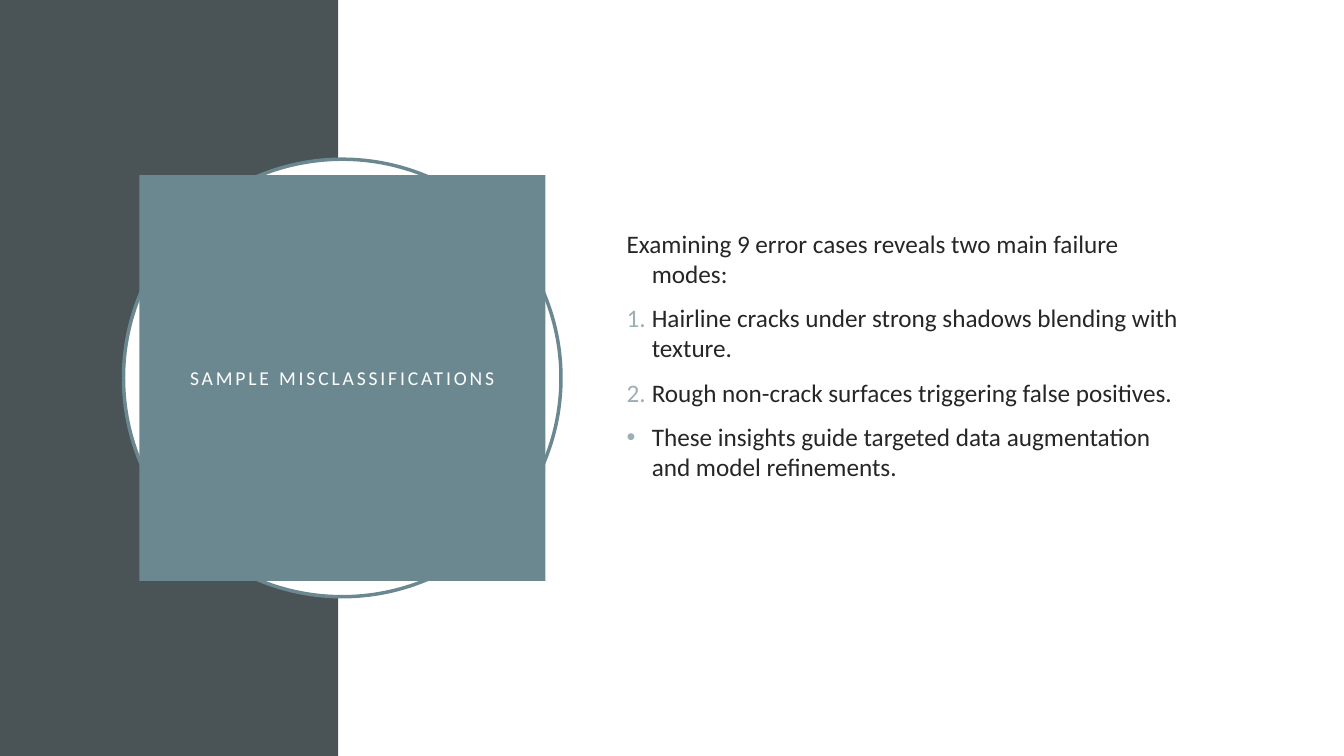
from lxml import etree
from pptx import Presentation
from pptx import util as u
from pptx.dml.color import RGBColor
from pptx.enum import shapes, text
from pptx.oxml.ns import qn

Pt = u.Pt
SLATE, TEAL, MIST, WHITE, INK = "4A5356", "6B8891", "9BAFB5", "FFFFFF", "262626"
WIDTH, HEIGHT, BAND = 960, 540, 241.7
CENTER_X, CENTER_Y = 244.5, 270
RING, PANEL = 312.5, 290
FINDINGS = [
    ("Examining 9 error cases reveals two main failure modes:", None),
    ("Hairline cracks under strong shadows blending with texture.", "number"),
    ("Rough non-crack surfaces triggering false positives.", "number"),
    ("These insights guide targeted data augmentation and model refinements.", "dot"),
]


def color(value):
    """Turn a hex string into a colour."""
    return RGBColor.from_string(value)


def add_shape(page, kind, left, top, width, height, fill, line=None):
    """Add a filled preset shape, outlined only if a line colour is given."""
    shape = page.shapes.add_shape(kind, Pt(left), Pt(top), Pt(width), Pt(height))
    shape.shadow.inherit = False
    shape.fill.solid()
    shape.fill.fore_color.rgb = color(fill)
    if line:
        shape.line.color.rgb = color(line)
        shape.line.width = Pt(2.5)
    else:
        shape.line.fill.background()
    return shape


def add_centered(page, kind, size, fill, line=None):
    """Add a square-sided shape around the centre of the title."""
    left, top = CENTER_X - size / 2, CENTER_Y - size / 2
    return add_shape(page, kind, left, top, size, size, fill, line)


def set_frame(box, side, bottom):
    """Wrap the text of a box, anchor it in the middle and set its insets."""
    frame = box.text_frame
    frame.word_wrap = True
    frame.vertical_anchor = text.MSO_ANCHOR.MIDDLE
    frame.margin_left = frame.margin_right = Pt(side)
    frame.margin_top, frame.margin_bottom = Pt(side / 2), Pt(bottom)
    return frame


def write(para, words, size, ink, align=text.PP_ALIGN.LEFT, tracking=0, before=0):
    """Write one formatted span into a paragraph."""
    para.alignment = align
    para.space_before = Pt(before)
    span = para.add_run()
    span.text = words
    span.font.name = "Calibri"
    span.font.size = Pt(size)
    span.font.color.rgb = color(ink)
    if tracking:
        span.font._element.set("spc", str(tracking * 100))


def set_marker(para, marker):
    """Give a paragraph a hanging indent and a number, a dot or no marker."""
    props = para._p.get_or_add_pPr()
    props.set("marL", str(Pt(18)))
    props.set("indent", str(Pt(-18)))
    if marker is None:
        etree.SubElement(props, qn("a:buNone"))
        return
    tint = etree.SubElement(props, qn("a:buClr"))
    etree.SubElement(tint, qn("a:srgbClr"), val=MIST)
    if marker == "number":
        etree.SubElement(props, qn("a:buFont"), typeface="Calibri")
        etree.SubElement(props, qn("a:buAutoNum"), type="arabicPeriod")
    else:
        etree.SubElement(props, qn("a:buFont"), typeface="Arial")
        etree.SubElement(props, qn("a:buChar"), char="•")


def add_findings(page, left, top, width, height):
    """Add the list of findings."""
    box = page.shapes.add_textbox(Pt(left), Pt(top), Pt(width), Pt(height))
    frame = set_frame(box, side=7.2, bottom=35.6)
    for index, (words, marker) in enumerate(FINDINGS):
        para = frame.add_paragraph() if index else frame.paragraphs[0]
        write(para, words, 18, INK, before=10)
        set_marker(para, marker)


def main():
    """Build the slide and save it."""
    deck = Presentation()
    deck.slide_width, deck.slide_height = Pt(WIDTH), Pt(HEIGHT)
    page = deck.slides.add_slide(deck.slide_layouts[6])
    kinds = shapes.MSO_SHAPE
    add_shape(page, kinds.RECTANGLE, 0, 0, BAND, HEIGHT, SLATE)
    add_shape(page, kinds.RECTANGLE, BAND, 0, WIDTH - BAND, HEIGHT, WHITE)
    add_centered(page, kinds.OVAL, RING, WHITE, TEAL)
    panel = add_centered(page, kinds.RECTANGLE, PANEL, TEAL)
    frame = set_frame(panel, side=14.4, bottom=7.2)
    write(frame.paragraphs[0], "SAMPLE MISCLASSIFICATIONS", 14, WHITE,
          align=text.PP_ALIGN.CENTER, tracking=2)
    add_findings(page, 440.5, 110, 419, 319)
    deck.save("out.pptx")


if __name__ == "__main__":
    main()
